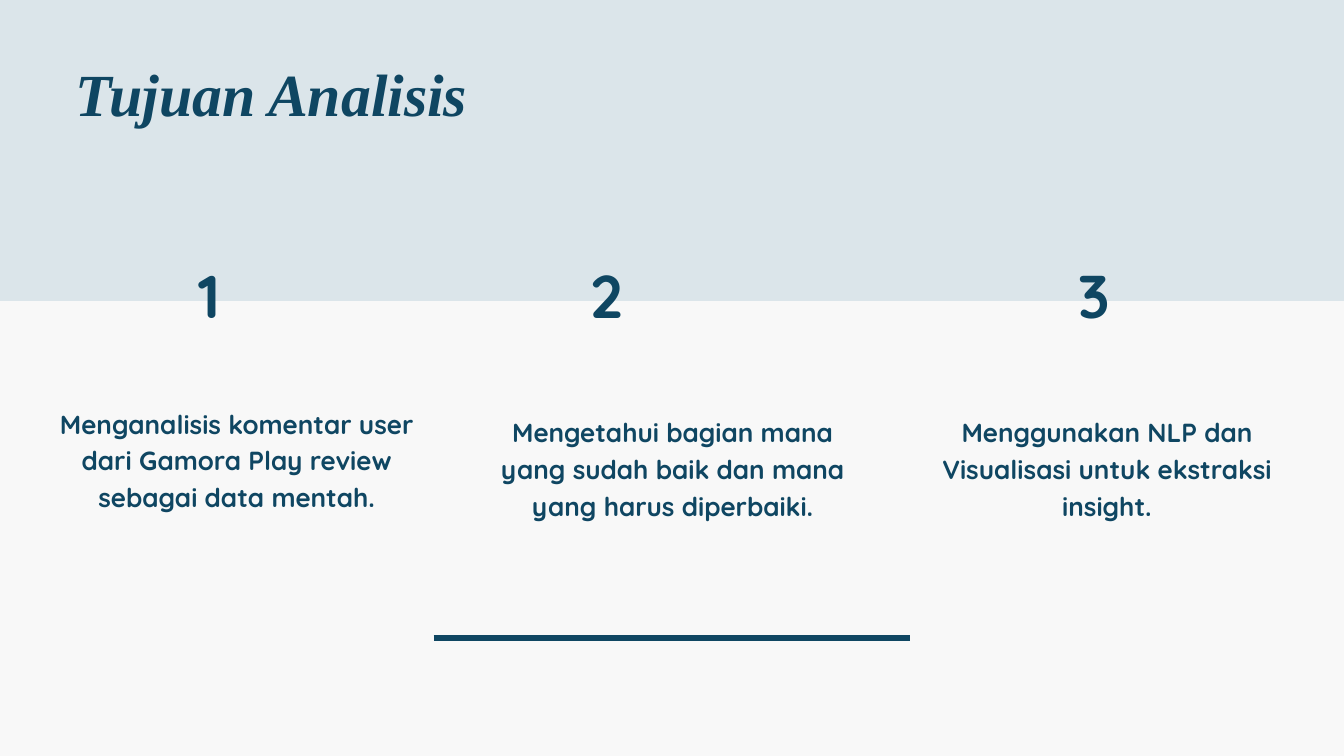
from pptx import Presentation
from pptx.dml.color import RGBColor
from pptx.enum.shapes import MSO_CONNECTOR as Connector, MSO_SHAPE as Shape
from pptx.enum.text import MSO_ANCHOR as Anchor, MSO_AUTO_SIZE as AutoSize, PP_ALIGN as Align
from pptx.oxml.ns import qn
from pptx.util import Pt

WIDTH, HEIGHT = 1440, 810
NAVY, PALE_BLUE, OFF_WHITE = "0F4662", "DBE5EA", "F8F8F8"
TITLE = {"name": "Times New Roman", "size": Pt(64), "bold": True, "italic": True}
NUMBER = {"name": "Quicksand", "size": Pt(64.6), "bold": True}
BODY = {"name": "Quicksand", "size": Pt(28), "bold": True}

# Number left, text left, text top, text
GOALS = [
    (90, 56, 431.5, "Menganalisis komentar user dari Gamora Play review sebagai data mentah."),
    (516, 523, 441, "Mengetahui bagian mana yang sudah baik dan mana yang harus diperbaiki."),
    (1038, 988.5, 441, "Menggunakan NLP dan Visualisasi untuk ekstraksi insight."),
]


def paint(fill, color):
    fill.solid()
    fill.fore_color.rgb = RGBColor.from_string(color)


def write(shape, text, font_format, line_spacing, align):
    frame = shape.text_frame
    frame_format = {"margin_left": 0, "margin_top": 0, "margin_right": 0, "margin_bottom": 0,
                    "word_wrap": True, "auto_size": AutoSize.NONE,
                    "vertical_anchor": Anchor.TOP}
    for name, value in frame_format.items():
        setattr(frame, name, value)
    paragraph = frame.paragraphs[0]
    paragraph.alignment = align
    paragraph.line_spacing = Pt(line_spacing)
    run = paragraph.add_run()
    run.text = text
    for name, value in font_format.items():
        setattr(run.font, name, value)
    run.font.color.rgb = RGBColor.from_string(NAVY)


def add_text(slide, box, *text_format):
    write(slide.shapes.add_textbox(*map(Pt, box)), *text_format)


def add_header(slide, left, top, width, height):
    """Place the title on a band that lies behind it."""
    band = slide.shapes.add_shape(Shape.RECTANGLE, *map(Pt, (left, top, width, height)))
    band.shadow.inherit = False
    paint(band.fill, PALE_BLUE)
    band.line.fill.background()
    title = slide.shapes.title
    title._element.addprevious(band._element)
    title.left, title.top = Pt(left + 80.5), Pt(top + 47.5)
    title.width, title.height = Pt(780), Pt(86)
    write(title, "Tujuan Analisis", TITLE, 89.6, Align.LEFT)


def add_goals(slide, top):
    for number, (number_left, text_left, text_top, text) in enumerate(GOALS, 1):
        add_text(slide, (number_left, top, 269, 86), str(number), NUMBER, 90.4, Align.CENTER)
        add_text(slide, (text_left, text_top, 395, 117), text, BODY, 39.2, Align.CENTER)


def add_rule(slide, left, top, width):
    rule = slide.shapes.add_connector(
        Connector.STRAIGHT, *map(Pt, (left, top, left + width, top)))
    rule.line.width = Pt(6)
    paint(rule.line.fill, NAVY)
    properties = rule._element.spPr
    properties.append(properties.makeelement(qn("a:effectLst"), {}))


def main():
    presentation = Presentation()
    presentation.slide_width, presentation.slide_height = Pt(WIDTH), Pt(HEIGHT)
    slide = presentation.slides.add_slide(presentation.slide_layouts[5])
    paint(slide.background.fill, OFF_WHITE)
    add_header(slide, 0, 0, WIDTH, 322.5)
    add_goals(slide, 264)
    rule_width = 511
    add_rule(slide, (WIDTH - rule_width) / 2, 683.5, rule_width)
    presentation.save("out.pptx")


if __name__ == "__main__":
    main()
